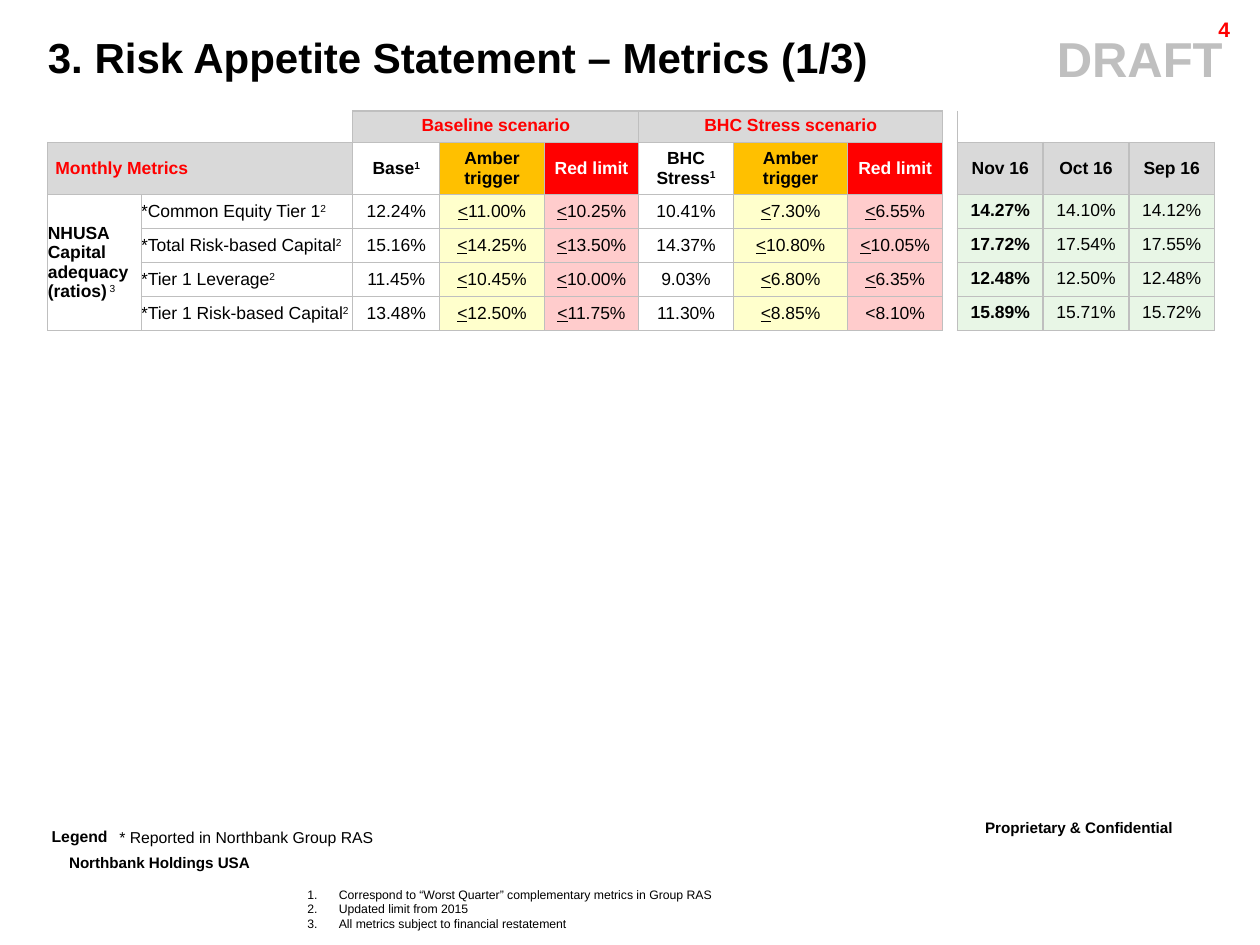
from pptx import Presentation
from pptx.dml.color import RGBColor
from pptx.enum.text import MSO_ANCHOR, PP_ALIGN
from pptx.oxml.ns import qn
from pptx.util import Inches, Pt
from lxml.etree import SubElement

LEFT, MID, RIGHT = PP_ALIGN.LEFT, PP_ALIGN.CENTER, PP_ALIGN.RIGHT
TOP, CENTRE = MSO_ANCHOR.TOP, MSO_ANCHOR.MIDDLE

BLACK = RGBColor(0x00, 0x00, 0x00)
WHITE = RGBColor(0xFF, 0xFF, 0xFF)
RED = RGBColor(0xFF, 0x00, 0x00)
AMBER = RGBColor(0xFF, 0xC0, 0x00)
SILVER = RGBColor(0xBF, 0xBF, 0xBF)
GREY = RGBColor(0xD9, 0xD9, 0xD9)
CREAM = RGBColor(0xFF, 0xFF, 0xCC)
PINK = RGBColor(0xFF, 0xCC, 0xCC)
MINT = RGBColor(0xE8, 0xF6, 0xE6)
PLAIN = "{2D5ABB26-0587-4C30-8999-92F81FD0307C}"

COLS = [0.74, 1.68, 0.69, 0.83, 0.75, 0.75, 0.91, 0.75, 0.12] + [0.68] * 3
ROWS = [0.25, 0.41] + [0.27] * 4
GAP = 8
THICK = {2, 8, 9, 10, 11}
HEADS = [
    ("Base|^1", None, BLACK), ("Amber trigger", AMBER, BLACK), ("Red limit", RED, WHITE),
    ("BHC Stress|^1", None, BLACK), ("Amber trigger", AMBER, BLACK), ("Red limit", RED, WHITE),
    None,
    ("Nov 16", GREY, BLACK), ("Oct 16", GREY, BLACK), ("Sep 16", GREY, BLACK),
]
FILLS = [None, CREAM, PINK, None, CREAM, PINK, None, MINT, MINT, MINT]
METRICS = [
    ("*Common Equity Tier 1|^2", "12.24%", "_<|11.00%", "_<|10.25%", "10.41%",
     "_<|7.30%", "_<|6.55%", "", "14.27%", "14.10%", "14.12%"),
    ("*Total Risk-based Capital|^2", "15.16%", "_<|14.25%", "_<|13.50%", "14.37%",
     "_<|10.80%", "_<|10.05%", "", "17.72%", "17.54%", "17.55%"),
    ("*Tier 1 Leverage|^2", "11.45%", "_<|10.45%", "_<|10.00%", "9.03%",
     "_<|6.80%", "_<|6.35%", "", "12.48%", "12.50%", "12.48%"),
    ("*Tier 1 Risk-based Capital|^2", "13.48%", "_<|12.50%", "_<|11.75%", "11.30%",
     "_<|8.85%", "<8.10%", "", "15.89%", "15.71%", "15.72%"),
]
NOTES = [
    "Correspond to “Worst Quarter” complementary metrics in Group RAS",
    "Updated limit from 2015",
    "All metrics subject to financial restatement",
]


def shown(row, col):
    return 0 <= row < len(ROWS) and 0 <= col < len(COLS) and col != GAP and (row > 0 or 2 <= col < GAP)


class Deck:
    font = "Arial"

    def __init__(self):
        self.prs = Presentation()
        self.prs.slide_width, self.prs.slide_height = Inches(10), Inches(7.5)
        self.slide = self.prs.slides.add_slide(self.prs.slide_layouts[5])

    def style(self, para, text, size, color=BLACK, bold=False, align=LEFT, space=None):
        para.alignment = align
        para.line_spacing = space
        for part in text.split("|"):
            run = para.add_run()
            run.text = part.lstrip("^_")
            font = run.font
            font.name, font.size, font.bold = self.font, Pt(size), bold
            font.color.rgb = color
            if part.startswith("_"):
                font.underline = True
            if part.startswith("^"):
                run._r.get_or_add_rPr().set("baseline", "30000")

    def title(self, text, box):
        shape = self.slide.shapes.title
        shape.left, shape.top, shape.width, shape.height = map(Inches, box)
        frame = shape.text_frame
        frame.vertical_anchor = TOP
        self.style(frame.paragraphs[0], text, 24, bold=True, space=0.86)

    def text(self, text, box, size, pad=True, **style):
        frame = self.slide.shapes.add_textbox(*map(Inches, box)).text_frame
        frame.word_wrap = True
        if not pad:
            self.pad(frame, 0)
        self.style(frame.paragraphs[0], text, size, **style)
        return frame

    def notes(self, lines, box):
        frame = self.text(lines[0], box, 7, pad=False)
        frame.margin_top = Inches(0.11)
        for line in lines[1:]:
            self.style(frame.add_paragraph(), line, 7)
        for para in frame.paragraphs:
            props = para._p.get_or_add_pPr()
            props.set("marL", str(Inches(0.25)))
            props.set("indent", str(Inches(-0.25)))
            SubElement(props, qn("a:buFont"), typeface="+mj-lt")
            SubElement(props, qn("a:buAutoNum"), type="arabicPeriod")

    def grid(self, left, top):
        shape = self.slide.shapes.add_table(
            len(ROWS), len(COLS), Inches(left), Inches(top), Inches(sum(COLS)), Inches(sum(ROWS)))
        table = shape.table
        table.first_row = table.horz_banding = False
        table._tbl.tblPr.find(qn("a:tableStyleId")).text = PLAIN
        for col, width in zip(table.columns, COLS):
            col.width = Inches(width)
        for row, height in zip(table.rows, ROWS):
            row.height = Inches(height)
        for start, end in [((0, 2), (0, 4)), ((0, 5), (0, 7)), ((1, 0), (1, 1)), ((2, 0), (5, 0))]:
            table.cell(*start).merge(table.cell(*end))
        for row in range(len(ROWS)):
            for col in range(len(COLS)):
                cell = table.cell(row, col)
                self.pad(cell, 0)
                if not cell.is_spanned:
                    self.edge(cell, row, col)
        return table

    def edge(self, cell, row, col):
        props = cell._tc.get_or_add_tcPr()
        last = row == len(ROWS) - 1 and col > 1
        roof = row == 0 or (row == 1 and col > GAP)
        sides = [("L", 0, -1, col in THICK), ("R", 0, 1, col + 1 in THICK),
                 ("T", -1, 0, roof), ("B", 1, 0, last)]
        for side, down, over, thick in sides:
            if shown(row, col) or shown(row + down, col + over):
                line = SubElement(props, qn("a:ln" + side), w=str(Pt(1 if thick else 0.5)))
                fill = SubElement(line, qn("a:solidFill"))
                SubElement(fill, qn("a:srgbClr"), val=str(SILVER))

    def pad(self, item, inset):
        item.margin_left = item.margin_right = item.margin_top = item.margin_bottom = Inches(inset)

    def cell(self, cell, text, fill=None, inset=0, gap=0, anchor=CENTRE, **style):
        self.pad(cell, inset)
        cell.vertical_anchor = anchor
        if fill is not None:
            cell.fill.solid()
            cell.fill.fore_color.rgb = fill
        para = cell.text_frame.paragraphs[0]
        if gap:
            para.space_before = para.space_after = Pt(gap)
        self.style(para, text, 10, **style)

    def blank(self, table):
        for cell in table.iter_cells():
            para = cell.text_frame.paragraphs[0]
            if not para.runs:
                SubElement(para._p, qn("a:endParaRPr"), sz="600")


def metrics(deck):
    table = deck.grid(0.38, 0.88)
    head = dict(inset=0.04, gap=2, bold=True, align=MID)
    for col, name in [(2, "Baseline scenario"), (5, "BHC Stress scenario")]:
        deck.cell(table.cell(0, col), name, GREY, anchor=TOP, color=RED, **head)
    label = table.cell(1, 0)
    deck.cell(label, "Monthly Metrics", GREY, inset=0.04, color=RED, bold=True)
    label.margin_left = Inches(0.06)
    for col, item in enumerate(HEADS, 2):
        if item:
            name, fill, color = item
            deck.cell(table.cell(1, col), name, fill, color=color, **head)
    group = table.cell(2, 0)
    deck.cell(group, "NHUSA Capital adequacy", bold=True)
    ratio = group.text_frame.add_paragraph()
    deck.style(ratio, "(ratios)|^ 3", 10, bold=True)
    ratio.runs[1].font.bold = False
    for row, (name, *values) in enumerate(METRICS, 2):
        deck.cell(table.cell(row, 1), name)
        for col, (value, fill) in enumerate(zip(values, FILLS), 2):
            if value:
                month = col > GAP
                deck.cell(table.cell(row, col), value, fill, inset=0.05 if month else 0,
                          anchor=TOP if month else CENTRE, bold=col == GAP + 1, align=MID)
    deck.blank(table)


def main():
    deck = Deck()
    deck.text("^Proprietary & Confidential", (7.72, 6.42, 2.18, 0.35), 15, bold=True)
    deck.text("^Northbank Holdings USA", (0.45, 6.7, 1.91, 0.35), 15, bold=True)
    draft = deck.text("DRAFT", (1.15, 0.18, 8.79, 0.57), 28, color=SILVER, bold=True, align=MID)
    draft.paragraphs[0]._p.get_or_add_pPr().set("marL", str(Inches(7)))
    deck.text("4", (8.91, 0.11, 0.95, 0.24), 12, color=RED, bold=True, align=RIGHT, space=0.86)
    deck.title("3. Risk Appetite Statement – Metrics (1/3)", (0.28, 0.26, 9.35, 0.45))
    metrics(deck)
    deck.text("* Reported in Northbank Group RAS", (0.94, 6.59, 2.03, 0.13), 9,
              pad=False, align=MID, space=0.86)
    deck.text("Legend", (0.41, 6.58, 0.65, 0.13), 9, pad=False, bold=True, space=0.86)
    deck.notes(NOTES, (2.44, 6.93, 5.47, 0.59))
    deck.prs.save("out.pptx")


if __name__ == "__main__":
    main()
